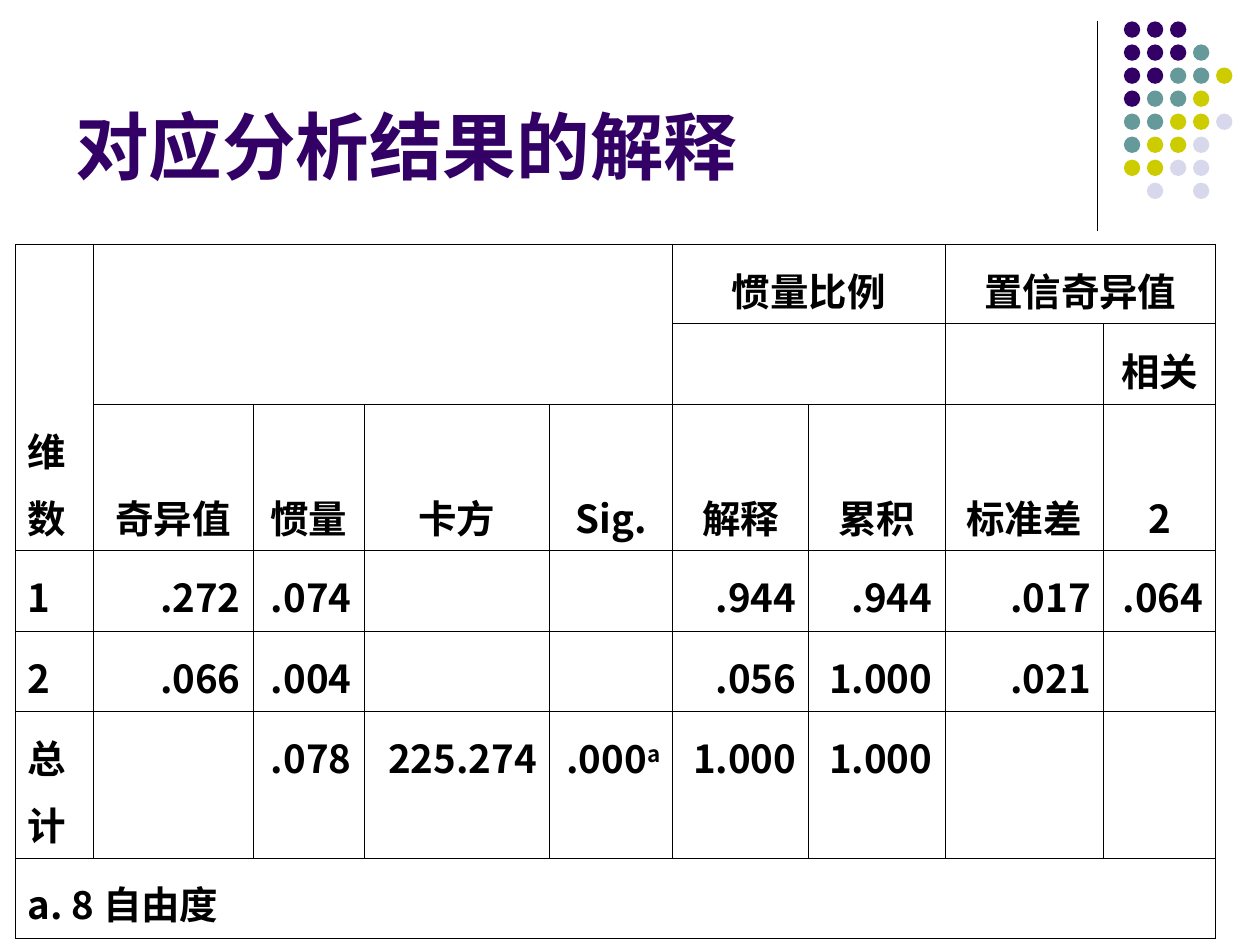
from lxml import etree
from pptx import Presentation, util as u
from pptx.dml.color import RGBColor
from pptx.enum import shapes, text
from pptx.oxml.ns import qn

BLACK = RGBColor(0x00, 0x00, 0x00)
WHITE = RGBColor(0xFF, 0xFF, 0xFF)
PURPLE = RGBColor(0x33, 0x00, 0x66)
TEAL = RGBColor(0x66, 0x99, 0x99)
OLIVE = RGBColor(0xCC, 0xCC, 0x00)
LAVENDER = RGBColor(0xD8, 0xD8, 0xEC)

TITLE = "对应分析结果的解释"
HEADER_ROWS = 3
ROWS = [
    ["维数", "", "", "", "", "惯量比例", "", "置信奇异值", ""],
    ["", "", "", "", "", "", "", "", "相关"],
    ["", "奇异值", "惯量", "卡方", "Sig.", "解释", "累积", "标准差", "2"],
    ["1", ".272", ".074", "", "", ".944", ".944", ".017", ".064"],
    ["2", ".066", ".004", "", "", ".056", "1.000", ".021", ""],
    ["总计", "", ".078", "225.274", ".000", "1.000", "1.000", "", ""],
    ["a. 8 自由度", "", "", "", "", "", "", "", ""],
]
FOOTNOTE_MARKS = {(5, 4): "a"}
SPANS = {(0, 0): (3, 1), (0, 1): (2, 4), (0, 5): (1, 2), (0, 7): (1, 2),
         (1, 5): (1, 2), (6, 0): (1, 9)}
COLUMN_WIDTHS = [0.62, 1.27, 0.88, 1.47, 0.98, 1.08, 1.08, 1.26, 0.89]
ROW_HEIGHTS = [0.63, 0.64, 1.16, 0.64, 0.64, 1.16, 0.64]
RULE_WIDTH = 0.45

DOT_COLORS = {"P": PURPLE, "T": TEAL, "O": OLIVE, "L": LAVENDER}
DOT_ROWS = ["PPP", "PPPT", "PPTTO", "PTTO", "TTOOL", "TOOL", "OOLL", ".L.L"]
DOT_LEFT, DOT_TOP, DOT_SIZE = 8.92, 0.17, 0.13
DOT_PITCH = 1.28 / (len(DOT_ROWS) - 1)


def set_font(font, name, size, color):
    font.name, font.size, font.bold = name, u.Pt(size), True
    font.color.rgb = color


def add_dots(slide):
    for row, pattern in enumerate(DOT_ROWS):
        for column, key in enumerate(pattern):
            if key not in DOT_COLORS:
                continue
            dot = slide.shapes.add_shape(
                shapes.MSO_SHAPE.OVAL,
                u.Inches(DOT_LEFT + column * DOT_PITCH),
                u.Inches(DOT_TOP + row * DOT_PITCH),
                u.Inches(DOT_SIZE), u.Inches(DOT_SIZE))
            dot.shadow.inherit = False
            dot.fill.solid()
            dot.fill.fore_color.rgb = DOT_COLORS[key]
            dot.line.fill.background()


def add_divider(slide):
    divider = slide.shapes.add_connector(
        shapes.MSO_CONNECTOR.STRAIGHT,
        u.Inches(8.71), u.Inches(0.17), u.Inches(8.71), u.Inches(1.83))
    divider.line.color.rgb = BLACK
    divider.line.width = u.Pt(0.75)
    etree.SubElement(divider._element.spPr, qn("a:effectLst"))


def add_title(slide):
    title = slide.shapes.add_textbox(
        u.Inches(0.5), u.Inches(0.13), u.Inches(8.25), u.Inches(1.42))
    frame = title.text_frame
    frame.word_wrap = True
    frame.vertical_anchor = text.MSO_ANCHOR.BOTTOM
    frame.text = TITLE
    set_font(frame.paragraphs[0].font, "Times New Roman", 42, PURPLE)


def set_borders(cell):
    properties = cell._tc.get_or_add_tcPr()
    for tag in ("a:lnL", "a:lnR", "a:lnT", "a:lnB"):
        border = etree.SubElement(properties, qn(tag), w=str(u.Pt(RULE_WIDTH)))
        fill = etree.SubElement(border, qn("a:solidFill"))
        etree.SubElement(fill, qn("a:srgbClr"), val=str(BLACK))


def fill_cell(cell, row, column):
    header = row < HEADER_ROWS
    if not cell.is_spanned:
        set_borders(cell)
    cell.fill.solid()
    cell.fill.fore_color.rgb = WHITE
    cell.vertical_anchor = text.MSO_ANCHOR.BOTTOM if header else text.MSO_ANCHOR.TOP
    paragraph = cell.text_frame.paragraphs[0]
    paragraph.line_spacing = 1.2
    if column:
        paragraph.alignment = text.PP_ALIGN.CENTER if header else text.PP_ALIGN.RIGHT
    set_font(paragraph.font, "Noto Sans CJK SC", 22, BLACK)
    if ROWS[row][column]:
        paragraph.add_run().text = ROWS[row][column]
    if (row, column) in FOOTNOTE_MARKS:
        mark = paragraph.add_run()
        mark.text = FOOTNOTE_MARKS[row, column]
        mark._r.get_or_add_rPr().set("baseline", "30000")


def add_results(slide):
    results = slide.shapes.add_table(
        len(ROWS), len(COLUMN_WIDTHS), u.Inches(0.12), u.Inches(1.94),
        u.Inches(sum(COLUMN_WIDTHS)), u.Inches(sum(ROW_HEIGHTS))).table
    results.first_row = results.horz_banding = False
    for column, width in zip(results.columns, COLUMN_WIDTHS):
        column.width = u.Inches(width)
    for row, height in zip(results.rows, ROW_HEIGHTS):
        row.height = u.Inches(height)
    for (row, column), (height, width) in SPANS.items():
        results.cell(row, column).merge(
            results.cell(row + height - 1, column + width - 1))
    for row in range(len(ROWS)):
        for column in range(len(COLUMN_WIDTHS)):
            fill_cell(results.cell(row, column), row, column)


def main():
    deck = Presentation()
    deck.slide_width, deck.slide_height = u.Inches(10), u.Inches(7.5)
    slide = deck.slides.add_slide(deck.slide_layouts[6])
    add_divider(slide)
    add_dots(slide)
    add_title(slide)
    add_results(slide)
    deck.save("out.pptx")


if __name__ == "__main__":
    main()
